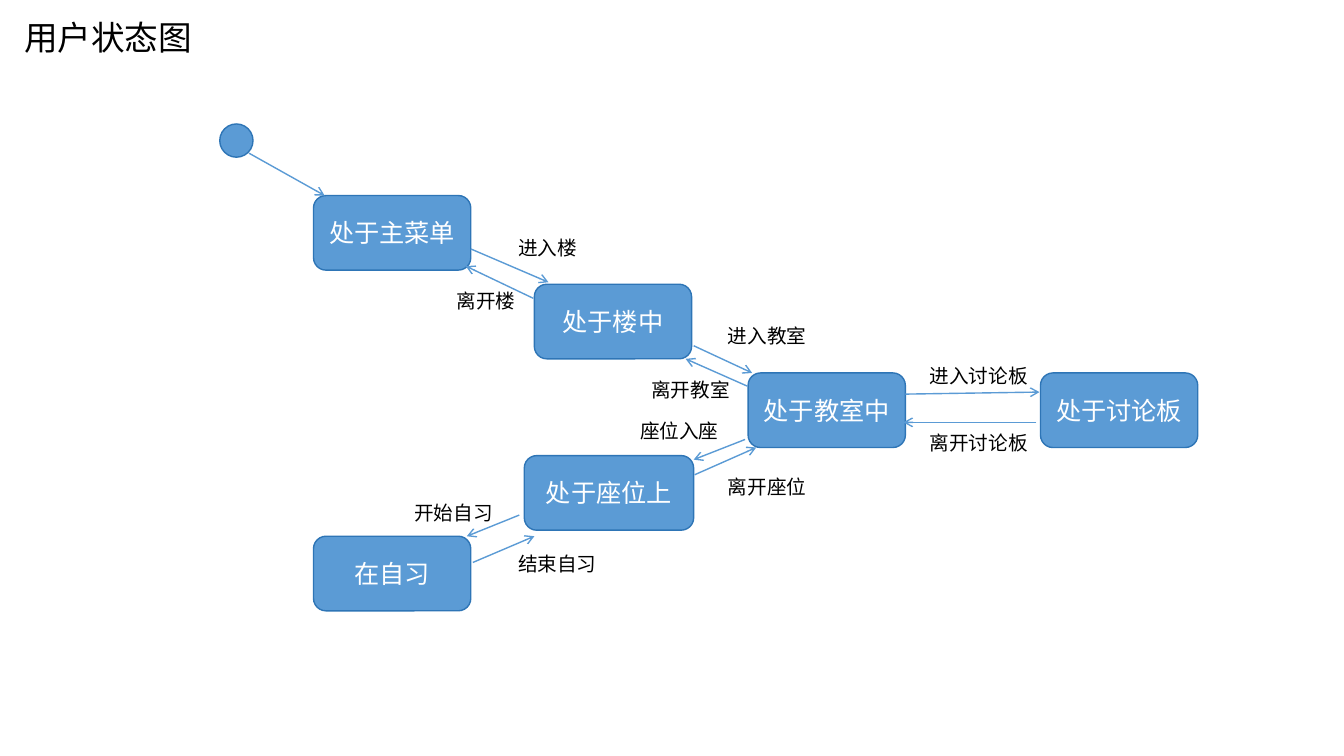
"""Build the user state diagram slide."""
import dataclasses

import lxml.etree
import pptx
import pptx.dml.color
import pptx.enum.shapes
import pptx.enum.text
import pptx.oxml.ns
import pptx.util

SHAPE = pptx.enum.shapes.MSO_SHAPE
ALIGN = pptx.enum.text.PP_ALIGN


@dataclasses.dataclass(frozen=True)
class Theme:
    """Colours, type sizes and line width."""
    font: str = "Calibri"
    fill: str = "5B9BD5"
    edge: str = "2E75B6"
    ink: str = "000000"
    paper: str = "FFFFFF"
    title: int = 24
    state: int = 18
    label: int = 14
    line: int = 1


@dataclasses.dataclass(frozen=True)
class Box:
    """Region of the slide divided into columns and rows."""
    left: float
    top: float
    width: float
    height: float
    cols: float
    rows: float

    def point(self, x, y):
        """Return the slide position of a grid point."""
        return (round(self.left + x * self.width / self.cols),
                round(self.top + y * self.height / self.rows))

    def area(self, x, y, w, h):
        """Return left, top, width and height of a grid area."""
        left, top = self.point(x, y)
        right, bottom = self.point(x + w, y + h)
        return left, top, right - left, bottom - top

    def region(self, x, y, w, h):
        """Return a grid area as a box with cells of the same size."""
        return Box(*self.area(x, y, w, h), w, h)


T = Theme()
STATE_W, STATE_H = 15.6, 7.4
LABEL_CHAR, LABEL_H = 2.9, 3.4
START = (1.8, 2.3, 3.3, 3.3)
START_ARROW = ((4.7, 5.2), (12.2, 9.4))
STATES = [
    ("处于主菜单", 11.1, 9.4, STATE_W),
    ("处于楼中", 33, 18.2, STATE_W),
    ("处于教室中", 54.2, 27, STATE_W),
    ("处于座位上", 32, 35.2, 16.8),
    ("在自习", 11.1, 43.2, STATE_W),
    ("处于讨论板", 83.2, 27, STATE_W),
]
TRANSITIONS = [
    ("进入楼", (26.7, 14.7), (34.4, 18), (30.4, 12.9)),
    ("离开楼", (32.9, 19.6), (26.2, 16.4), (24.3, 18.2)),
    ("进入教室", (48.8, 24.3), (54.6, 27), (51.2, 21.6)),
    ("离开教室", (54.1, 28.3), (48, 25.6), (43.6, 27)),
    ("座位入座", (53.9, 33.6), (48.8, 35.6), (42.5, 31.1)),
    ("离开座位", (48.9, 37.1), (55, 34.4), (51.2, 36.6)),
    ("开始自习", (31.5, 41.1), (26.3, 43.2), (20.1, 39.2)),
    ("结束自习", (26.9, 45.8), (33, 43.2), (30.4, 44.3)),
    ("进入讨论板", (69.8, 29.1), (83.1, 28.9), (71.2, 25.6)),
    ("离开讨论板", (82.8, 31.9), (69.6, 31.9), (71.2, 32.3)),
]


def rgb(value):
    """Turn a hex string into a colour."""
    return pptx.dml.color.RGBColor.from_string(value)


def write(tf, text, size, color, align):
    """Write one formatted paragraph into a text frame."""
    tf.text = text
    tf.word_wrap = True
    p = tf.paragraphs[0]
    p.alignment = align
    r = p.runs[0]
    r.font.name = T.font
    r.font.size = pptx.util.Pt(size)
    r.font.color.rgb = rgb(color)


def add_text(s, area, text, size):
    """Add a left-aligned text box."""
    tf = s.shapes.add_textbox(*area).text_frame
    write(tf, text, size, T.ink, ALIGN.LEFT)
    tf.auto_size = pptx.enum.text.MSO_AUTO_SIZE.SHAPE_TO_FIT_TEXT


def add_node(s, kind, area):
    """Add a filled, outlined shape."""
    sp = s.shapes.add_shape(kind, *area)
    sp.shadow.inherit = False
    sp.fill.solid()
    sp.fill.fore_color.rgb = rgb(T.fill)
    sp.line.color.rgb = rgb(T.edge)
    sp.line.width = pptx.util.Pt(T.line)
    return sp


def add_arrow(s, begin, end):
    """Add a straight line with an open arrowhead at its end."""
    cx = s.shapes.add_connector(
        pptx.enum.shapes.MSO_CONNECTOR.STRAIGHT, *begin, *end)
    cx.line.color.rgb = rgb(T.fill)
    cx.line.width = pptx.util.Pt(T.line)
    qn = pptx.oxml.ns.qn
    sppr = cx._element.spPr
    lxml.etree.SubElement(sppr.find(qn("a:ln")), qn("a:tailEnd"), type="arrow")
    lxml.etree.SubElement(sppr, qn("a:effectLst"))


def add_title(s, box):
    """Fill the box with the slide title."""
    add_text(s, box.area(0, 0, box.cols, box.rows), "用户状态图", T.title)


def add_diagram(s, box):
    """Place the start node, states and labelled transitions in the box."""
    add_node(s, SHAPE.OVAL, box.area(*START))
    for name, x, y, w in STATES:
        sp = add_node(s, SHAPE.ROUNDED_RECTANGLE, box.area(x, y, w, STATE_H))
        write(sp.text_frame, name, T.state, T.paper, ALIGN.CENTER)
        sp.text_frame.vertical_anchor = pptx.enum.text.MSO_ANCHOR.MIDDLE
    add_arrow(s, *(box.point(*end) for end in START_ARROW))
    for label, begin, end, spot in TRANSITIONS:
        add_arrow(s, box.point(*begin), box.point(*end))
        area = box.area(*spot, LABEL_CHAR * len(label), LABEL_H)
        add_text(s, area, label, T.label)


def main():
    """Create the presentation and save it."""
    prs = pptx.Presentation()
    prs.slide_width = pptx.util.Inches(13.33)
    prs.slide_height = pptx.util.Inches(7.5)
    s = prs.slides.add_slide(prs.slide_layouts[6])
    page = Box(0, 0, prs.slide_width, prs.slide_height, 133.3, 75)
    add_title(s, page.region(1.4, 1.2, 22, 5))
    add_diagram(s, page.region(20, 10, 100, 52))
    prs.save("out.pptx")


main()
